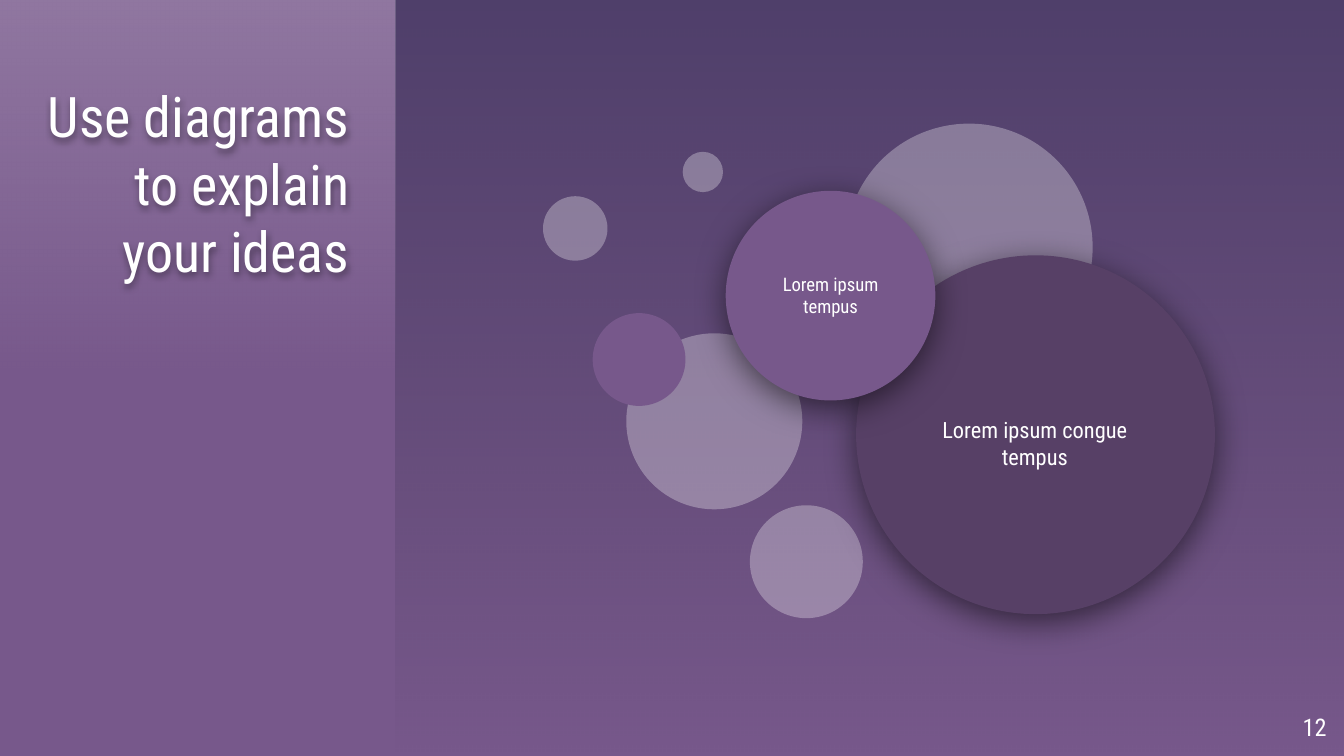
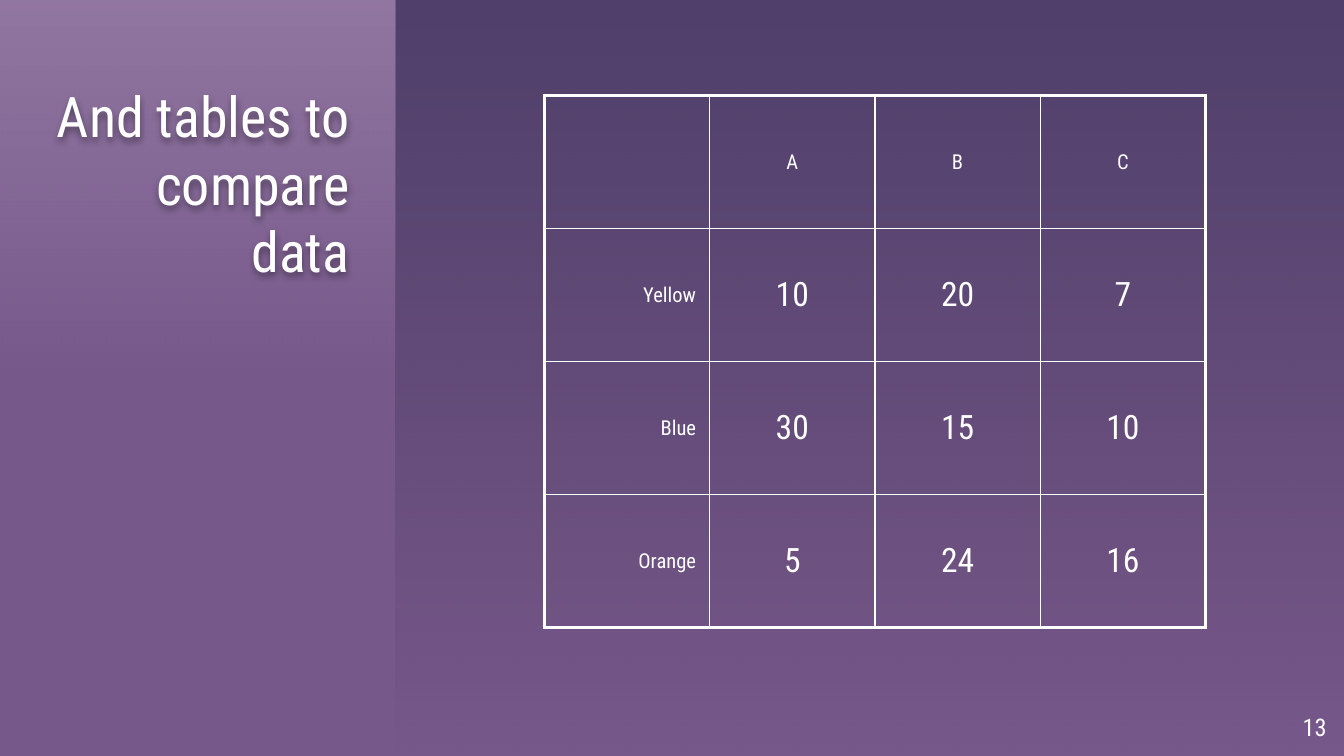
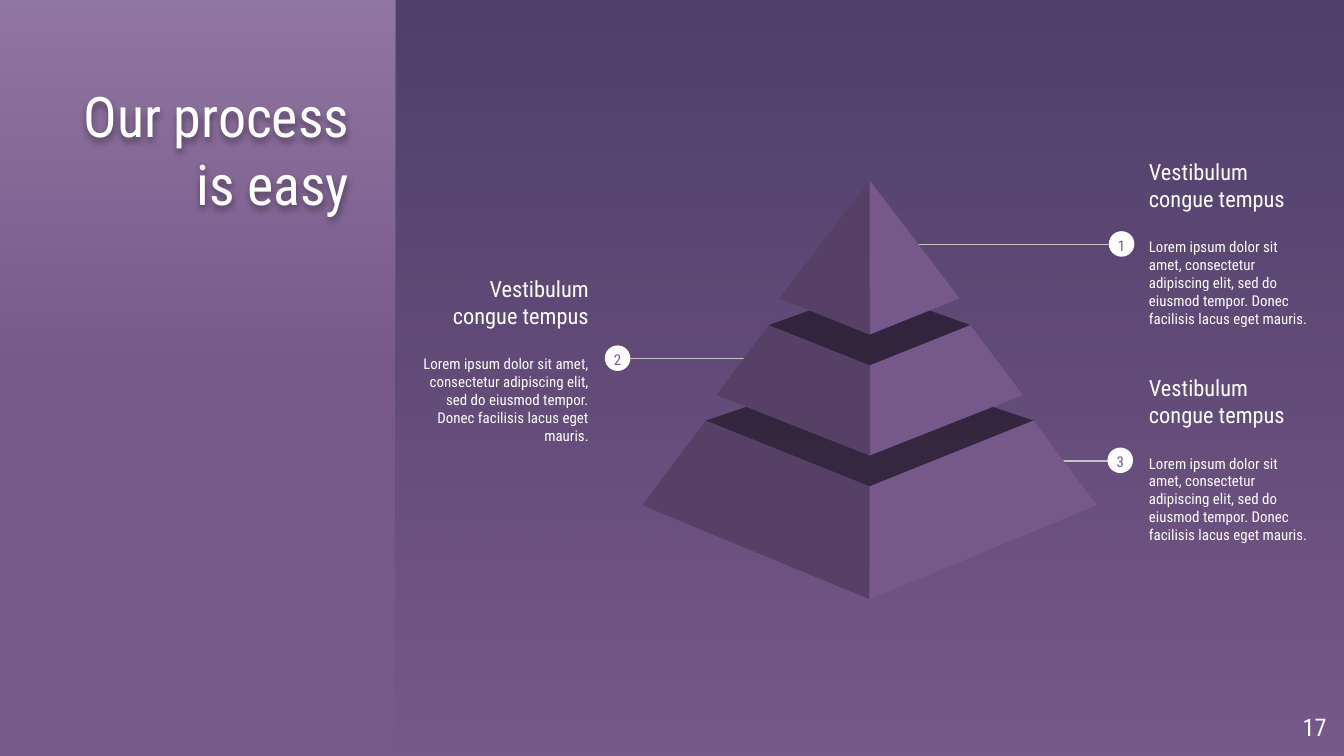
from dataclasses import dataclass
from typing import NamedTuple, Optional

from lxml import etree
from pptx import Presentation
from pptx import util as u
from pptx.dml.color import RGBColor
from pptx.enum import shapes, text
from pptx.oxml.ns import qn

Inches, Pt = u.Inches, u.Pt
Align, Anchor = text.PP_ALIGN, text.MSO_ANCHOR
OVAL, RECTANGLE = shapes.MSO_SHAPE.OVAL, shapes.MSO_SHAPE.RECTANGLE


@dataclass(frozen=True)
class Theme:
    font: str = "Roboto Condensed"
    purple: str = "77588B"
    plum: str = "574066"
    white: str = "FFFFFF"
    black: str = "000000"
    rule: str = "C2C2C2"
    night: str = "020F2B"
    night_end: str = "010C16"
    title: int = 30
    value: int = 18
    number: int = 13
    heading: int = 12
    label: int = 11
    small: int = 10
    body: int = 8
    thin: float = 0.75
    thick: float = 2.25


THEME = Theme()


class Area(NamedTuple):
    left: float
    top: float
    width: float
    height: float

    def lengths(self) -> list:
        return [Inches(value) for value in self]


class Band(NamedTuple):
    area: Area
    start: str
    end: str
    opacity: int


class Bubble(NamedTuple):
    left: float
    top: float
    size: float
    color: str = THEME.white
    opacity: int = 30


class LabelledBubble(NamedTuple):
    bubble: Bubble
    label_area: Area
    label: str
    size: int


class Tier(NamedTuple):
    """One pyramid storey; half widths are measured from the axis."""
    top_half: float
    top: float
    ridge_top: float
    base_half: float
    base: float
    ridge_base: float
    back: Optional[float] = None


class Callout(NamedTuple):
    number: int
    text_left: float
    text_top: float
    text_width: float
    marker_left: float
    line_start: float
    line_end: float
    line_top: float
    align: Align = Align.LEFT


TITLE_AREA = Area(0.34, 0.61, 2.26, 4.44)
NUMBER_AREA = Area(9.27, 5.19, 0.6, 0.43)
BANDS = [
    Band(Area(2.94, -0.01, 7.06, 5.64), THEME.night, THEME.night_end, 34),
    Band(Area(-0.01, -0.01, 2.95, 2.83), THEME.white, THEME.white, 19),
]

BUBBLES = [
    Bubble(5.58, 3.76, 0.84),
    Bubble(4.04, 1.46, 0.48),
    Bubble(4.66, 2.48, 1.31),
    Bubble(6.29, 0.92, 1.84),
    Bubble(4.41, 2.33, 0.69, THEME.purple, 100),
    Bubble(5.08, 1.13, 0.3),
]
LABELLED_BUBBLES = [
    LabelledBubble(Bubble(6.37, 1.9, 2.67, THEME.plum, 100), Area(6.68, 2.66, 2.04, 1.27),
                   "Lorem ipsum congue tempus", THEME.heading),
    LabelledBubble(Bubble(5.4, 1.42, 1.56, THEME.purple, 100), Area(5.65, 1.68, 1.06, 1.03),
                   "Lorem ipsum tempus", THEME.small),
]

TABLE_ROWS = [
    ["", "A", "B", "C"],
    ["Yellow", "10", "20", "7"],
    ["Blue", "30", "15", "10"],
    ["Orange", "5", "24", "16"],
]
COLUMN_WIDTH, ROW_HEIGHT = 1.23, 0.99

PYRAMID_AXIS = 6.47
TIERS = [
    Tier(1.22, 3.13, 3.62, 1.69, 3.76, 4.46, back=2.72),
    Tier(0.75, 2.42, 2.72, 1.14, 2.94, 3.39, back=2.15),
    Tier(0, 1.34, 1.34, 0.67, 2.22, 2.49),
]
CALLOUTS = [
    Callout(1, 8.45, 1.14, 1.42, 8.25, 6.79, 8.43, 1.82),
    Callout(2, 3.03, 2.01, 1.45, 4.5, 5.56, 4.56, 2.67, Align.RIGHT),
    Callout(3, 8.45, 2.75, 1.42, 8.24, 7.87, 8.43, 3.43),
]
CALLOUT_HEADING = "Vestibulum congue tempus"
CALLOUT_BODY = ("Lorem ipsum dolor sit amet, consectetur adipiscing elit, sed do "
                "eiusmod tempor. Donec facilisis lacus eget mauris.")


def rgb(color: str) -> RGBColor:
    return RGBColor.from_string(color)


def set_opacities(shape, *opacities: int) -> None:
    """Give the shape's fill colours, in order, an opacity in percent."""
    for color, opacity in zip(shape.element.spPr.iter(qn("a:srgbClr")), opacities):
        etree.SubElement(color, qn("a:alpha"), val=str(opacity * 1000))


def paint(shape, color: str, opacity: int = 100) -> None:
    shape.shadow.inherit = False
    shape.line.fill.background()
    shape.fill.solid()
    shape.fill.fore_color.rgb = rgb(color)
    if opacity < 100:
        set_opacities(shape, opacity)


def cast_shadow(shape, blur: float, distance: float, opacity: int) -> None:
    """Drop a black shadow straight down."""
    shape.shadow.inherit = False
    effects = shape.element.spPr.find(qn("a:effectLst"))
    shadow = etree.SubElement(effects, qn("a:outerShdw"), blurRad=str(Pt(blur)),
                              dist=str(Pt(distance)), dir="5400000", algn="bl",
                              rotWithShape="0")
    color = etree.SubElement(shadow, qn("a:srgbClr"), val=THEME.black)
    etree.SubElement(color, qn("a:alpha"), val=str(opacity * 1000))


def format_paragraph(para, size: int, align: Align, color: str = THEME.white) -> None:
    para.alignment = align
    for span in para.runs:
        span.font.name = THEME.font
        span.font.size = Pt(size)
        span.font.color.rgb = rgb(color)


def set_frame(shape, anchor: Anchor, inset: float) -> None:
    frame = shape.text_frame
    frame.word_wrap = True
    frame.auto_size = text.MSO_AUTO_SIZE.NONE
    frame.vertical_anchor = anchor
    frame.margin_left = frame.margin_right = Inches(inset)
    frame.margin_top = frame.margin_bottom = Inches(inset)


def write(shape, words: str, size: int, align: Align, anchor: Anchor = Anchor.MIDDLE,
          inset: float = 0.1, color: str = THEME.white) -> None:
    set_frame(shape, anchor, inset)
    shape.text_frame.text = words
    format_paragraph(shape.text_frame.paragraphs[0], size, align, color)


def add_bands(slide) -> None:
    """Draw the gradient bands and place them at the back of the slide's layout."""
    tree = slide.slide_layout.element.cSld.spTree
    for position, band in enumerate(BANDS, start=2):
        shape = slide.shapes.add_shape(RECTANGLE, *band.area.lengths())
        shape.shadow.inherit = False
        shape.line.fill.background()
        shape.fill.gradient()
        shape.fill.gradient_angle = 270
        for stop, color in zip(shape.fill.gradient_stops, (band.start, band.end)):
            stop.color.rgb = rgb(color)
        set_opacities(shape, band.opacity, 0)
        tree.insert(position, shape.element)


def add_slide(deck, layout, title: str, number: int):
    slide = deck.slides.add_slide(layout)
    box = slide.shapes.title
    box.left, box.top, box.width, box.height = TITLE_AREA.lengths()
    write(box, title, THEME.title, Align.RIGHT, Anchor.TOP, inset=0)
    cast_shadow(box, blur=4, distance=2, opacity=40)
    page_number = slide.shapes.add_textbox(*NUMBER_AREA.lengths())
    write(page_number, str(number), THEME.number, Align.RIGHT, inset=0)
    return slide


def add_bubble(slide, bubble: Bubble):
    area = Area(bubble.left, bubble.top, bubble.size, bubble.size)
    shape = slide.shapes.add_shape(OVAL, *area.lengths())
    paint(shape, bubble.color, bubble.opacity)
    return shape


def add_labelled_bubble(slide, item: LabelledBubble) -> None:
    cast_shadow(add_bubble(slide, item.bubble), blur=18, distance=4, opacity=55)
    label = slide.shapes.add_shape(RECTANGLE, *item.label_area.lengths())
    paint(label, item.bubble.color)
    write(label, item.label, item.size, Align.CENTER)


def add_border(cell, side: str, width: float) -> None:
    properties = cell._tc.get_or_add_tcPr()
    line = etree.SubElement(properties, qn(f"a:ln{side}"), w=str(Pt(width)))
    fill = etree.SubElement(line, qn("a:solidFill"))
    etree.SubElement(fill, qn("a:srgbClr"), val=THEME.white)


def add_comparison_table(slide) -> None:
    rows, columns = len(TABLE_ROWS), len(TABLE_ROWS[0])
    area = Area(4.05, 0.71, COLUMN_WIDTH * columns, ROW_HEIGHT * rows)
    table = slide.shapes.add_table(rows, columns, *area.lengths()).table
    table.first_row = table.horz_banding = False
    for row, values in enumerate(TABLE_ROWS):
        for column, value in enumerate(values):
            cell = table.cell(row, column)
            outer_sides = {"L": column == 0, "R": column == columns - 1,
                           "T": row == 0, "B": row == rows - 1}
            for side, outer in outer_sides.items():
                add_border(cell, side, THEME.thick if outer else THEME.thin)
            cell.fill.background()
            cell.vertical_anchor = Anchor.MIDDLE
            cell.margin_left = cell.margin_right = Inches(0.1)
            cell.margin_top = cell.margin_bottom = Inches(0.07)
            cell.text = value
            is_label = row == 0 or column == 0
            format_paragraph(cell.text_frame.paragraphs[0],
                             THEME.label if is_label else THEME.value,
                             Align.RIGHT if column == 0 else Align.CENTER)


def add_face(slide, points: list, color: str, opacity: int = 100) -> None:
    """Fill an outline given as (offset from the pyramid axis, height on the slide)."""
    corners = [(Inches(PYRAMID_AXIS + offset), Inches(top)) for offset, top in points]
    builder = slide.shapes.build_freeform(*corners[0])
    builder.add_line_segments(corners[1:], close=True)
    paint(builder.convert_to_shape(), color, opacity)


def add_tier(slide, tier: Tier) -> None:
    if tier.back is not None:
        add_face(slide, [(-tier.top_half, tier.top), (0, tier.ridge_top),
                         (tier.top_half, tier.top), (0, tier.back)], THEME.black, 49)
    for side, color in ((-1, THEME.plum), (1, THEME.purple)):
        add_face(slide, [(side * tier.top_half, tier.top), (side * tier.base_half, tier.base),
                         (0, tier.ridge_base), (0, tier.ridge_top)], color)


def add_callout(slide, callout: Callout) -> None:
    line_top = Inches(callout.line_top)
    line = slide.shapes.add_connector(shapes.MSO_CONNECTOR.STRAIGHT,
                                      Inches(callout.line_start), line_top,
                                      Inches(callout.line_end), line_top)
    line.line.color.rgb = rgb(THEME.rule)
    line.line.width = Pt(THEME.thin)
    etree.SubElement(line.element.spPr, qn("a:effectLst"))

    text_area = Area(callout.text_left, callout.text_top, callout.text_width, 1.33)
    box = slide.shapes.add_textbox(*text_area.lengths())
    write(box, CALLOUT_HEADING, THEME.heading, callout.align)
    box.text_frame.paragraphs[0].space_after = Pt(14)
    body = box.text_frame.add_paragraph()
    body.text = CALLOUT_BODY
    format_paragraph(body, THEME.body, callout.align)

    add_bubble(slide, Bubble(callout.marker_left, callout.line_top - 0.1, 0.19, opacity=100))
    number_area = Area(callout.marker_left - 0.03, callout.line_top - 0.16, 0.24, 0.3)
    number = slide.shapes.add_textbox(*number_area.lengths())
    write(number, str(callout.number), THEME.body, Align.CENTER, Anchor.TOP, color=THEME.purple)


def main() -> None:
    deck = Presentation()
    deck.slide_width = Inches(10)
    deck.slide_height = deck.slide_width * 9 // 16
    background = deck.slide_master.background.fill
    background.solid()
    background.fore_color.rgb = rgb(THEME.purple)
    layout = deck.slide_layouts.get_by_name("Title Only")

    diagram = add_slide(deck, layout, "Use diagrams to explain your ideas", 12)
    add_bands(diagram)
    for bubble in BUBBLES:
        add_bubble(diagram, bubble)
    for item in LABELLED_BUBBLES:
        add_labelled_bubble(diagram, item)

    comparison = add_slide(deck, layout, "And tables to compare data", 13)
    add_comparison_table(comparison)

    process = add_slide(deck, layout, "Our process is easy", 17)
    for callout in CALLOUTS:
        add_callout(process, callout)
    for tier in TIERS:
        add_tier(process, tier)

    deck.save("out.pptx")


if __name__ == "__main__":
    main()
